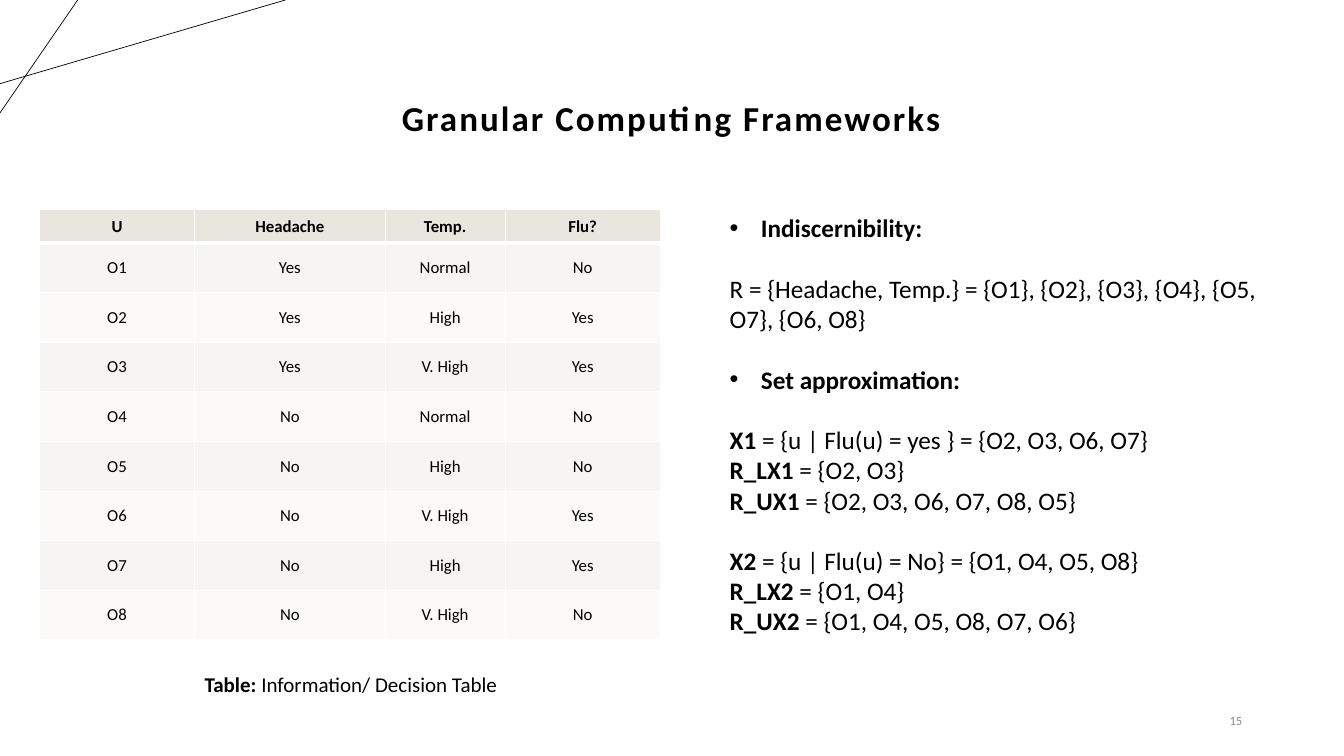
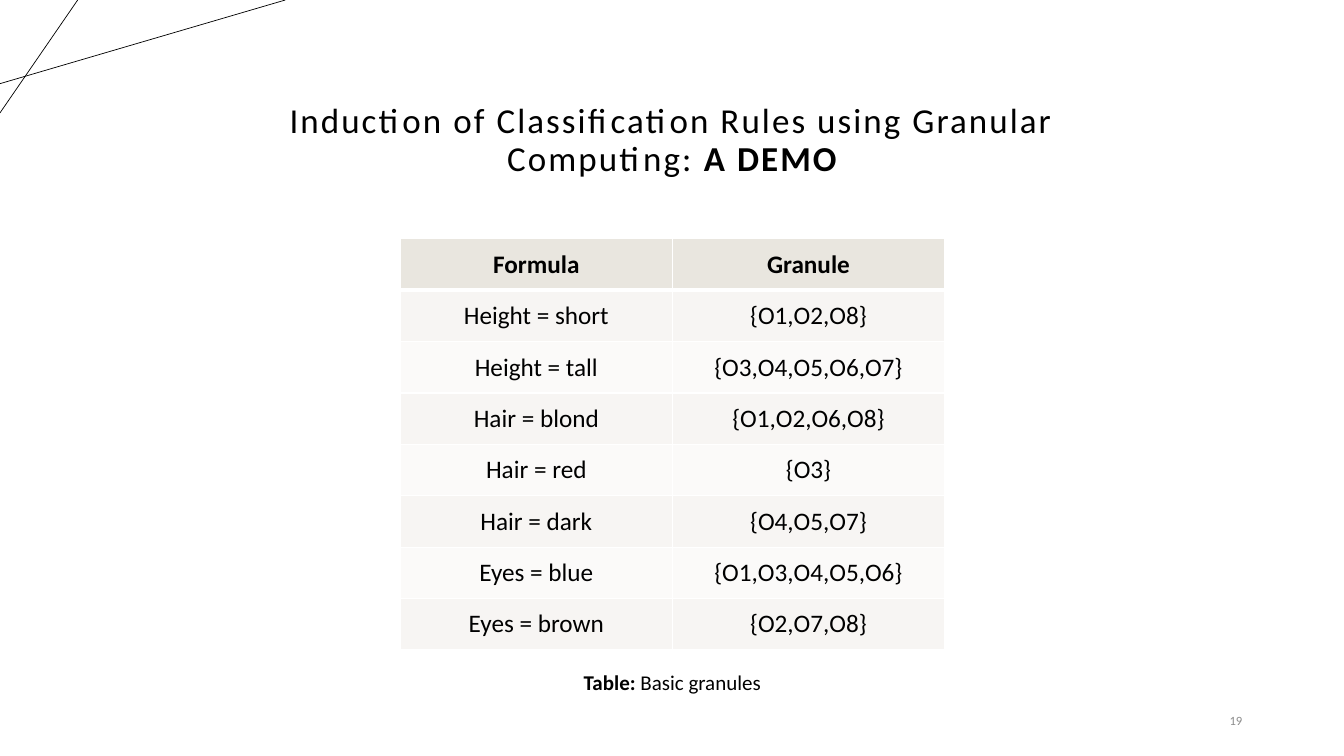
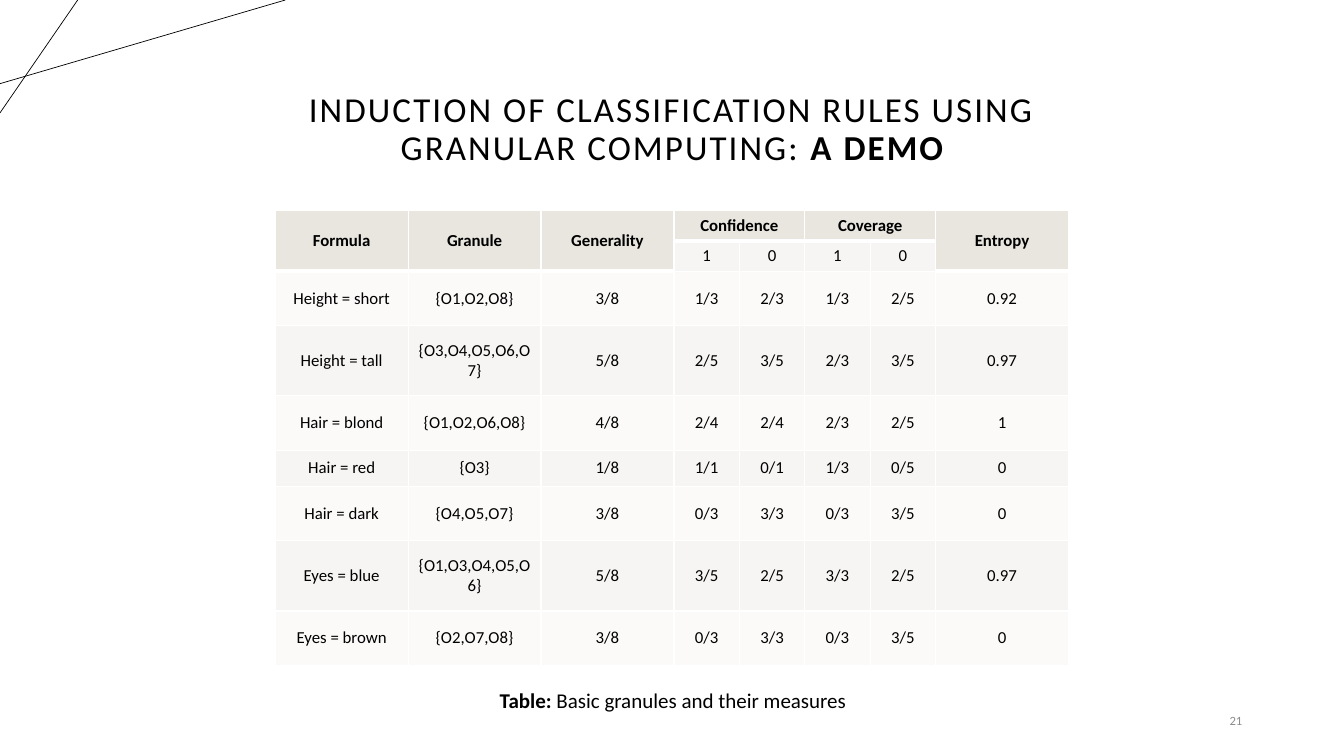
from collections import namedtuple
from dataclasses import dataclass

from lxml import etree
from pptx import Presentation
from pptx.dml.color import RGBColor
from pptx.enum.shapes import MSO_CONNECTOR
from pptx.enum.text import MSO_ANCHOR, PP_ALIGN
from pptx.oxml.ns import qn
from pptx.util import Emu, Inches, Pt

STRAIGHT = MSO_CONNECTOR.STRAIGHT
MIDDLE = MSO_ANCHOR.MIDDLE
LEFT, CENTER, RIGHT = PP_ALIGN.LEFT, PP_ALIGN.CENTER, PP_ALIGN.RIGHT

SLIDE_W, SLIDE_H = Inches(13.33), Inches(7.5)
BLANK = 6

# Boxes are given in percent of the slide's width and height.
Box = namedtuple("Box", "x y w h")
Note = namedtuple("Note", "runs bullet gap", defaults=(False, False))


@dataclass(frozen=True)
class Theme:
    font: str = "Calibri"
    ink: str = "000000"
    muted: str = "8C8C8C"
    head: str = "E9E6DF"
    bands: tuple = ("FBFAF9", "F7F5F3")
    border: str = "FFFFFF"
    title: int = 25
    body: int = 18
    caption: int = 15
    small: int = 12
    number: int = 9
    thin: int = 1
    thick: int = 3


THEME = Theme()
NUMBER_BOX = Box(70.67, 92.67, 22.5, 5.33)
CORNER_LINES = [(0, 11.07, 21.23, 0), (5.78, 0, 0, 14.93)]

GRANULES = [
    ["Height = short", "{O1,O2,O8}"],
    ["Height = tall", "{O3,O4,O5,O6,O7}"],
    ["Hair = blond", "{O1,O2,O6,O8}"],
    ["Hair = red", "{O3}"],
    ["Hair = dark", "{O4,O5,O7}"],
    ["Eyes = blue", "{O1,O3,O4,O5,O6}"],
    ["Eyes = brown", "{O2,O7,O8}"],
]
MEASURES = [
    ["3/8", "1/3", "2/3", "1/3", "2/5", "0.92"],
    ["5/8", "2/5", "3/5", "2/3", "3/5", "0.97"],
    ["4/8", "2/4", "2/4", "2/3", "2/5", "1"],
    ["1/8", "1/1", "0/1", "1/3", "0/5", "0"],
    ["3/8", "0/3", "3/3", "0/3", "3/5", "0"],
    ["5/8", "3/5", "2/5", "3/3", "2/5", "0.97"],
    ["3/8", "0/3", "3/3", "0/3", "3/5", "0"],
]
PATIENTS = [
    ["U", "Headache", "Temp.", "Flu?"],
    ["O1", "Yes", "Normal", "No"],
    ["O2", "Yes", "High", "Yes"],
    ["O3", "Yes", "V. High", "Yes"],
    ["O4", "No", "Normal", "No"],
    ["O5", "No", "High", "No"],
    ["O6", "No", "V. High", "Yes"],
    ["O7", "No", "High", "Yes"],
    ["O8", "No", "V. High", "No"],
]
NOTES = [
    Note([("Indiscernibility:", True)], bullet=True),
    Note([("R = {Headache, Temp.} = {O1}, {O2}, {O3}, {O4}, {O5, O7}, {O6, O8}", False)], gap=True),
    Note([("Set approximation:", True)], bullet=True, gap=True),
    Note([("X1 ", True), ("= {u | Flu(u) = yes } = {O2, O3, O6, O7}", False)], gap=True),
    Note([("R_LX1 ", True), ("= {O2, O3}", False)]),
    Note([("R_UX1", True), (" = {O2, O3, O6, O7, O8, O5}", False)]),
    Note([("X2", True), (" = {u | Flu(u) = No} = {O1, O4, O5, O8}", False)], gap=True),
    Note([("R_LX2", True), (" = {O1, O4}", False)]),
    Note([("R_UX2", True), (" = {O1, O4, O5, O8, O7, O6}", False)]),
]


def across(percent):
    return Emu(round(SLIDE_W * percent / 100))


def down(percent):
    return Emu(round(SLIDE_H * percent / 100))


def place(box):
    return across(box.x), down(box.y), across(box.w), down(box.h)


def add_runs(p, runs, size, color=THEME.ink, spacing=None):
    """Add (text, bold) runs; spacing is in hundredths of a point."""
    for text, bold in runs:
        r = p.add_run()
        r.text = text
        r.font.name = THEME.font
        r.font.size = Pt(size)
        r.font.bold = bold
        r.font.color.rgb = RGBColor.from_string(color)
        if spacing:
            r.font._element.set("spc", str(spacing))


def add_frame(slide, box):
    tf = slide.shapes.add_textbox(*place(box)).text_frame
    tf.word_wrap = True
    tf.vertical_anchor = MIDDLE
    return tf


def add_line_of_text(slide, box, runs, size, align=CENTER, color=THEME.ink, spacing=None):
    p = add_frame(slide, box).paragraphs[0]
    p.alignment = align
    add_runs(p, runs, size, color, spacing)
    return p


def add_corner_lines(slide):
    for x1, y1, x2, y2 in CORNER_LINES:
        line = slide.shapes.add_connector(STRAIGHT, across(x1), down(y1), across(x2), down(y2))
        line.line.color.rgb = RGBColor.from_string(THEME.ink)
        line.line.width = Pt(0.5)
        etree.SubElement(line._element.spPr, qn("a:effectLst"))


def add_base_slide(prs, title_box, title_runs, number):
    """Add a slide with the shared corner lines, title and page number."""
    slide = prs.slides.add_slide(prs.slide_layouts[BLANK])
    add_corner_lines(slide)
    p = add_line_of_text(slide, title_box, title_runs, THEME.title, spacing=150)
    p.line_spacing = 0.9
    add_line_of_text(slide, NUMBER_BOX, [(number, False)], THEME.number, RIGHT, THEME.muted)
    return slide


def add_caption(slide, box, text):
    add_line_of_text(slide, box, [("Table: ", True), (text, False)], THEME.caption)


def set_borders(cell, top, bottom):
    tc_pr = cell._tc.get_or_add_tcPr()
    widths = {"a:lnL": THEME.thin, "a:lnR": THEME.thin, "a:lnT": top, "a:lnB": bottom}
    for tag, width in widths.items():
        ln = etree.SubElement(tc_pr, qn(tag), w=str(Pt(width)))
        fill = etree.SubElement(ln, qn("a:solidFill"))
        etree.SubElement(fill, qn("a:srgbClr"), val=THEME.border)


def add_grid(slide, box, rows, col_shares, row_shares, size, merges=()):
    """Add a table whose columns and rows share out the box."""
    x, y, w, h = place(box)
    table = slide.shapes.add_table(len(rows), len(rows[0]), x, y, w, h).table
    table.first_row = table.horz_banding = False
    for col, share in zip(table.columns, col_shares):
        col.width = Emu(round(w * share / sum(col_shares)))
    for row, share in zip(table.rows, row_shares):
        row.height = Emu(round(h * share / sum(row_shares)))
    for r1, c1, r2, c2 in merges:
        table.cell(r1, c1).merge(table.cell(r2, c2))

    def is_head(i, j):
        return i == 0 or table.cell(i, j).is_spanned

    for i, row in enumerate(rows):
        for j, text in enumerate(row):
            cell, head = table.cell(i, j), is_head(i, j)
            below_head = i > 0 and not head and is_head(i - 1, j)
            set_borders(cell, THEME.thick if below_head else THEME.thin,
                        THEME.thick if head else THEME.thin)
            cell.fill.solid()
            cell.fill.fore_color.rgb = RGBColor.from_string(
                THEME.head if head else THEME.bands[i % 2])
            cell.vertical_anchor = MIDDLE
            if text:
                p = cell.text_frame.paragraphs[0]
                p.alignment = CENTER
                add_runs(p, [(text, head)], size)


def add_notes_column(slide, box, notes):
    tf = add_frame(slide, box)
    for i, note in enumerate(notes):
        p = tf.paragraphs[0] if i == 0 else tf.add_paragraph()
        p.alignment = LEFT
        if note.gap:
            p.space_before = Pt(THEME.body * 1.2)
        if note.bullet:
            p_pr = p._p.get_or_add_pPr()
            p_pr.set("marL", str(Inches(0.31)))
            p_pr.set("indent", str(-Inches(0.31)))
            etree.SubElement(p_pr, qn("a:buFont"), typeface="Arial")
            etree.SubElement(p_pr, qn("a:buChar"), char="•")
        add_runs(p, note.runs, THEME.body)


def build_frameworks(prs):
    slide = add_base_slide(prs, Box(22.06, 11.6, 55.81, 8.53),
                           [("Granular Computing Frameworks", True)], "15")
    add_grid(slide, Box(2.93, 27.73, 46.21, 56.93), PATIENTS,
             [1.54, 1.89, 1.19, 1.54], [0.33] + [0.49] * 8, THEME.small)
    add_caption(slide, Box(10.2, 88.13, 31.81, 4.67), "Information/ Decision Table")
    add_notes_column(slide, Box(53.56, 27.2, 42.99, 57.87), NOTES)


def build_granules(prs):
    slide = add_base_slide(
        prs, Box(19.88, 12.27, 60.24, 12.8),
        [("Induction of Classification Rules using Granular Computing: ", False),
         ("A DEMO", True)], "19")
    rows = [["Formula", "Granule"]] + GRANULES
    add_grid(slide, Box(29.78, 31.6, 40.51, 54.4), rows, [1, 1], [1] * len(rows), THEME.body)
    add_caption(slide, Box(38.78, 87.87, 22.5, 4.67), "Basic granules")


def build_measures(prs):
    slide = add_base_slide(
        prs, Box(15.53, 11.47, 68.94, 11.6),
        [("INDUCTION OF CLASSIFICATION RULES USING GRANULAR COMPUTING: ", False),
         ("A DEMO", True)], "21")
    rows = [
        ["Formula", "Granule", "Generality", "Confidence", "", "Coverage", "", "Entropy"],
        ["", "", "", "1", "0", "1", "0", ""],
    ] + [granule + measures for granule, measures in zip(GRANULES, MEASURES)]
    merges = [(0, c, 1, c) for c in (0, 1, 2, 7)] + [(0, c, 0, c + 1) for c in (3, 5)]
    add_grid(slide, Box(20.48, 27.87, 59.04, 60.13), rows,
             [1.32] * 3 + [0.65] * 4 + [1.32],
             [0.3, 0.3, 0.54, 0.7, 0.54, 0.36, 0.54, 0.7, 0.54], THEME.small, merges)
    add_caption(slide, Box(30.61, 90.27, 38.93, 4.67), "Basic granules and their measures")


def main():
    prs = Presentation()
    prs.slide_width, prs.slide_height = SLIDE_W, SLIDE_H
    for build in (build_frameworks, build_granules, build_measures):
        build(prs)
    prs.save("out.pptx")


if __name__ == "__main__":
    main()
